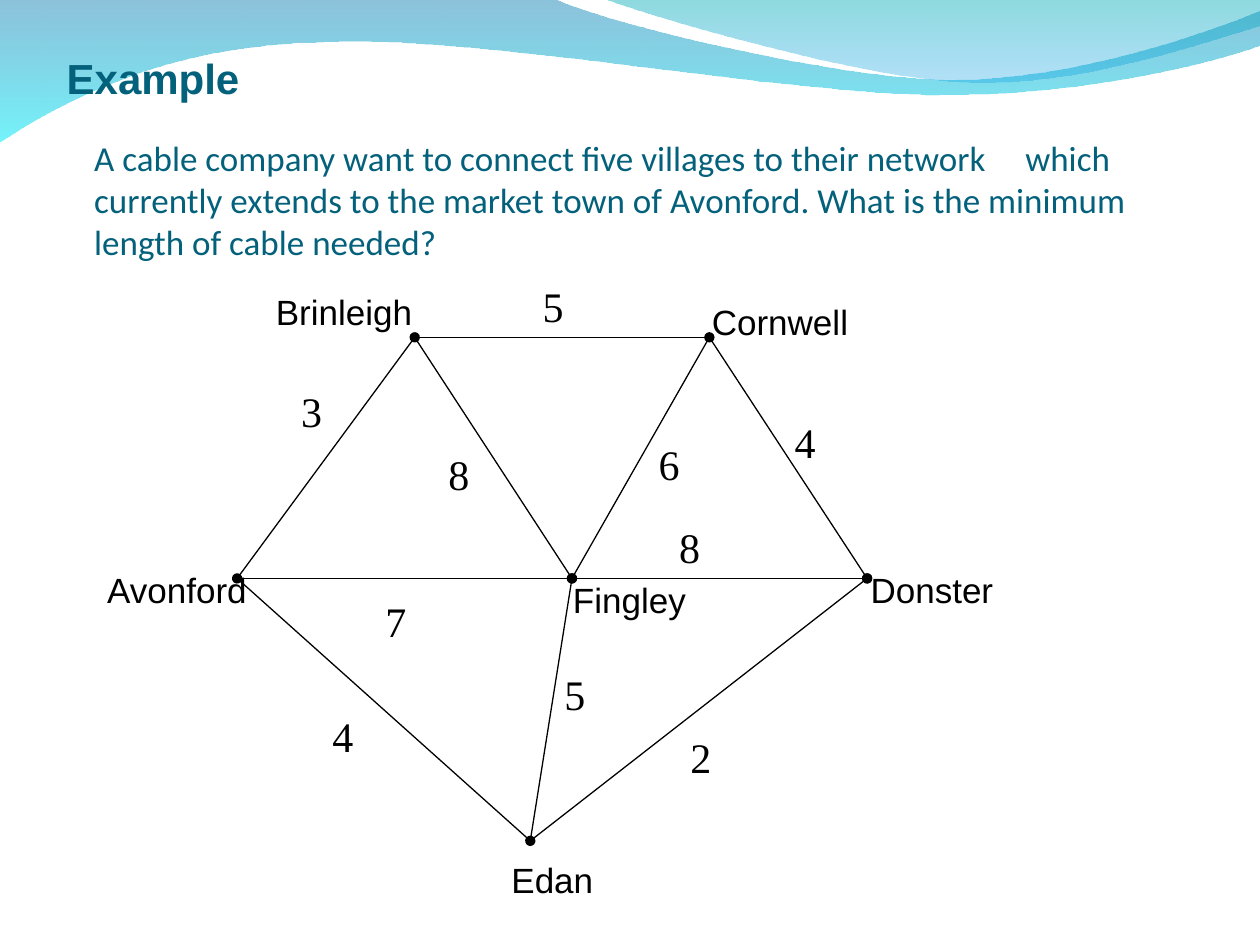
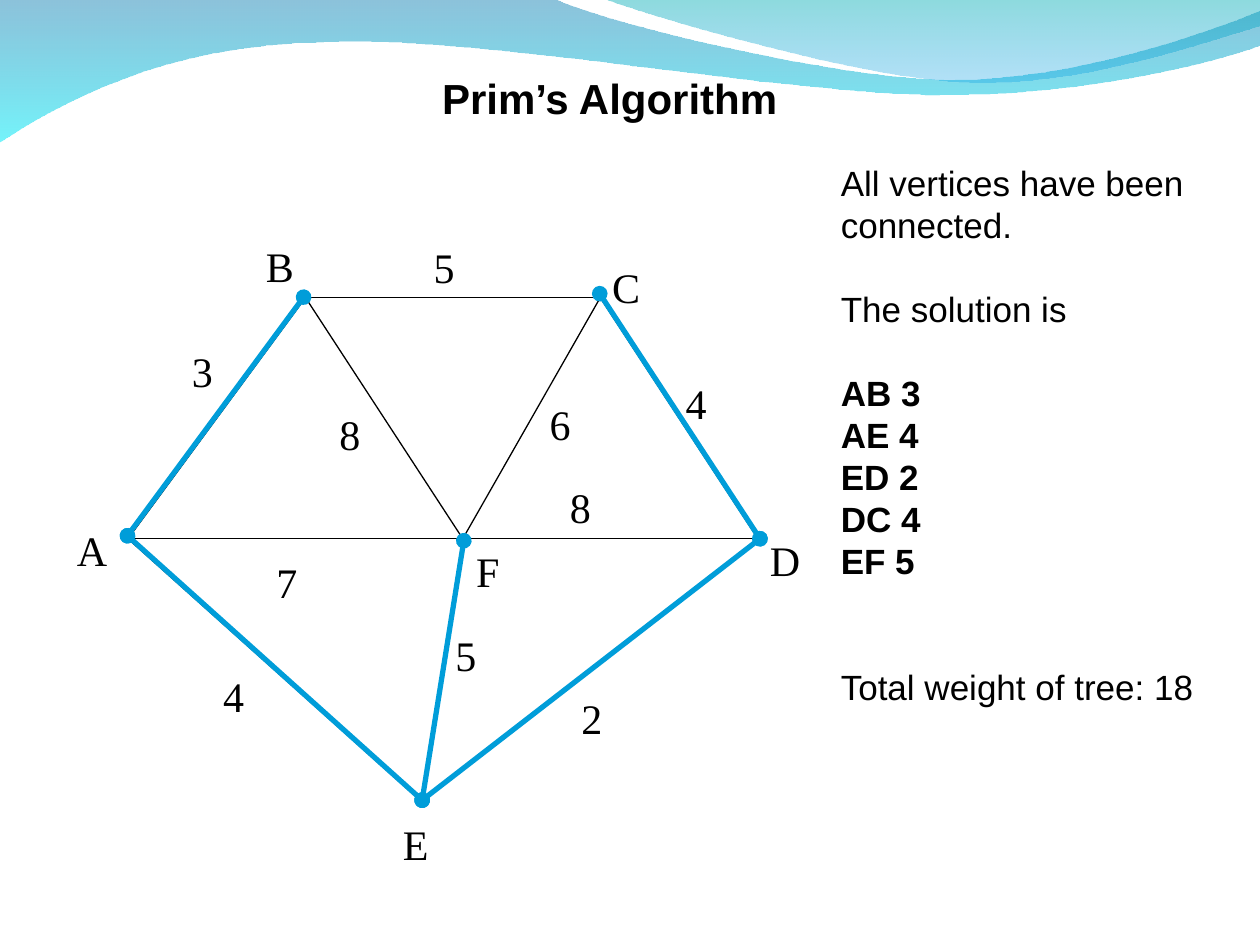
from lxml import etree
from pptx import Presentation
from pptx.dml.color import RGBColor
from pptx.enum.shapes import MSO_CONNECTOR
from pptx.enum.text import MSO_ANCHOR, MSO_AUTO_SIZE, PP_ALIGN
from pptx.oxml.ns import qn
from pptx.util import Cm, Pt

STRAIGHT = MSO_CONNECTOR.STRAIGHT
TOP, BOTTOM = MSO_ANCHOR.TOP, MSO_ANCHOR.BOTTOM
NO_FIT = MSO_AUTO_SIZE.NONE
LEFT, CENTER = PP_ALIGN.LEFT, PP_ALIGN.CENTER
TITLE_ONLY = 5

# Shared styles
BLACK, TEAL, BLUE = "000000", "04617B", "009DD9"
TITLE = {"name": "Arial", "size": Pt(24), "bold": True}
BODY = {"name": "Arial", "size": Pt(20)}
QUESTION = {"name": "Calibri", "size": Pt(20)}
GRAPH = {"name": "Times New Roman", "size": Pt(24)}

# Header waves: start, then line ends (2 numbers) or curves (6 numbers), in cm;
# gradient stops are colour and opacity in percent
WAVES = [
    {"start": (0, -0.02),
     "steps": [(11.18, -0.02),
               (12.09, 0.43, 16.87, 1.6, 19.25, 1.6),
               (21.67, 1.6, 24.33, 0.66, 25.4, 0.23),
               (25.42, 0.91),
               (24.97, 1.12, 22.1, 1.93, 18.95, 1.91),
               (15.8, 1.91, 9.7, 0.71, 6.53, 0.86),
               (3.28, 0.89, 1.17, 2.11, -0.02, 2.87)],
     "stops": [("0079AF", 45), ("00EBF8", 55)]},
    {"start": (12.17, -0.02),
     "steps": [(12.93, 0.28, 17.32, 1.57, 19.53, 1.65),
               (21.74, 1.75, 24.41, 0.81, 25.4, 0.53),
               (25.4, 0)],
     "stops": [("00ADB6", 45), ("009BE5", 30)]},
]

# Village graph, in cm
VILLAGES = {"A": (4.78, 11.66), "B": (8.36, 6.8), "C": (14.3, 6.8),
            "D": (17.48, 11.66), "E": (10.69, 16.95), "F": (11.53, 11.66)}
# edge, dotted villages, weight, left and top of the weight
EDGES = [("AB", "AB", 3, 5.82, 7.65), ("BC", "C", 5, 10.69, 5.54),
         ("CD", "D", 4, 15.77, 8.28), ("AF", "", 7, 7.52, 11.89),
         ("FD", "", 8, 13.44, 10.39), ("BF", "F", 8, 8.79, 8.92),
         ("FC", "", 6, 13.03, 8.71), ("AE", "", 4, 6.45, 14.2),
         ("EF", "EF", 5, 11.13, 13.36), ("ED", "D", 2, 13.67, 14.63)]

# Spanning tree, on the graph moved up and left
TREE = ["AB", "AE", "ED", "DC", "EF"]
TREE_SHIFT = (-2.2, -0.8)
TREE_VILLAGES = {"A": (2.57, 10.8), "B": (6.12, 5.99), "C": (12.09, 5.92),
                 "D": (15.32, 10.86), "E": (8.51, 16.13), "F": (9.35, 10.9)}

# name, left, top, width
VILLAGE_NAMES = [("Avonford", 1.91, 11.33, 3.4), ("Fingley", 11.3, 11.53, 2.95),
                 ("Brinleigh", 5.31, 5.73, 3.28), ("Cornwell", 14.1, 5.93, 3.61),
                 ("Donster", 17.3, 11.33, 3.84), ("Edan", 10.06, 17.18, 2.64)]
LETTERS = [("A", 1.3, 10.44), ("F", 9.35, 10.87), ("B", 5.11, 4.72),
           ("C", 12.09, 5.15), ("D", 15.27, 10.65), ("E", 7.87, 16.37)]

QUESTION_TEXT = ("A cable company want to connect five villages to their network\twhich "
                 "currently extends to the market town of Avonford. "
                 "What is the minimum length of cable needed?")
# text, bold, space before in points
SOLUTION = [("All vertices have been", False, 0), ("connected.", False, 0),
            ("The solution is", False, 24), ("AB 3", True, 24), ("AE 4", True, 0),
            ("ED 2", True, 0), ("DC 4", True, 0), ("EF 5", True, 0),
            ("Total weight of tree: 18", False, 48)]


def rgb(value):
    return RGBColor.from_string(value)


def write(para, text, style, color=BLACK):
    span = para.add_run()
    span.text = text
    for key, value in style.items():
        setattr(span.font, key, value)
    span.font.color.rgb = rgb(color)


def add_text(page, text, style, left, top, width, height=1.27, color=BLACK):
    box = page.shapes.add_textbox(Cm(left), Cm(top), Cm(width), Cm(height))
    box.text_frame.word_wrap = True
    write(box.text_frame.paragraphs[0], text, style, color)
    return box


def add_page(deck, title, left, top, width, align, color):
    page = deck.slides.add_slide(deck.slide_layouts[TITLE_ONLY])
    box = page.shapes.title
    box.left, box.top, box.width, box.height = Cm(left), Cm(top), Cm(width), Cm(1.27)
    frame = box.text_frame
    frame.auto_size, frame.vertical_anchor = NO_FIT, TOP
    frame.paragraphs[0].alignment = align
    write(frame.paragraphs[0], title, TITLE, color)
    return page


def bend(shape, steps):
    """Turn the straight segments of the curved steps into Bézier curves."""
    segments = list(shape.element.spPr.iter(qn("a:lnTo")))
    for segment, step in zip(segments, steps):
        if len(step) == 2:
            continue
        curve = etree.Element(qn("a:cubicBezTo"))
        for x, y in zip(step[::2], step[1::2]):
            etree.SubElement(curve, qn("a:pt"), x=str(Cm(x) - shape.left), y=str(Cm(y) - shape.top))
        segment.getparent().replace(segment, curve)


def add_waves(deck, page):
    """Draw the waves and move them behind everything on the master."""
    tree = deck.slide_master.element.cSld.spTree
    for index, wave in enumerate(WAVES):
        builder = page.shapes.build_freeform(*map(Cm, wave["start"]))
        builder.add_line_segments([(Cm(step[-2]), Cm(step[-1])) for step in wave["steps"]])
        shape = builder.convert_to_shape()
        bend(shape, wave["steps"])
        shape.shadow.inherit = False
        shape.line.fill.background()
        shape.fill.gradient()
        shape.fill.gradient_angle = 270
        for position, (stop, (color, _)) in enumerate(zip(shape.fill.gradient_stops, wave["stops"])):
            stop.position = position
            stop.color.rgb = rgb(color)
        colors = shape.element.spPr.iter(qn("a:srgbClr"))
        for node, (_, opacity) in zip(list(colors), wave["stops"]):
            etree.SubElement(node, qn("a:alpha"), val=str(opacity * 1000))
        tree.insert(2 + index, shape.element)


def add_edge(page, edge, places, color, width, dots):
    ends = [Cm(length) for village in edge for length in places[village]]
    line = page.shapes.add_connector(STRAIGHT, *ends)
    line.line.color.rgb = rgb(color)
    line.line.width = Pt(width)
    properties = line.element.spPr
    for village, end in zip(edge, ("a:headEnd", "a:tailEnd")):
        if village in dots:
            etree.SubElement(properties.find(qn("a:ln")), qn(end), type="oval")
    etree.SubElement(properties, qn("a:effectLst"))


def add_graph(page, shift=(0, 0), dotted=True):
    places = {village: (x + shift[0], y + shift[1]) for village, (x, y) in VILLAGES.items()}
    for edge, dots, *_ in EDGES:
        add_edge(page, edge, places, BLACK, 0.75, dots if dotted else "")
    for _, _, weight, left, top in EDGES:
        add_text(page, str(weight), GRAPH, left + shift[0], top + shift[1], 1.27)


def build_example(deck):
    page = add_page(deck, "Example", 1.09, 0.93, 4, LEFT, TEAL)
    add_waves(deck, page)

    # Question, with a tab stop for the gap in its first line
    box = add_text(page, QUESTION_TEXT, QUESTION, 1.9, 2.12, 21.6, 3.18, TEAL)
    frame = box.text_frame
    frame.vertical_anchor = BOTTOM
    frame.margin_left = frame.margin_right = frame.margin_bottom = 0
    stops = etree.SubElement(box.element.txBody.p_lst[0].get_or_add_pPr(), qn("a:tabLst"))
    etree.SubElement(stops, qn("a:tab"), pos=str(Cm(18.77)), algn="l")

    # Graph with village names
    add_graph(page)
    for name, left, top, width in VILLAGE_NAMES:
        add_text(page, name, BODY, left, top, width, 1.12)


def build_solution(deck):
    page = add_page(deck, "Prim’s Algorithm", 2.29, 1.34, 20, CENTER, BLACK)

    # Graph with the spanning tree on top
    add_graph(page, TREE_SHIFT, dotted=False)
    for letter, left, top in LETTERS:
        add_text(page, letter, GRAPH, left, top, 1.27)
    for edge in TREE:
        add_edge(page, edge, TREE_VILLAGES, BLUE, 3, edge)

    # Solution
    box = page.shapes.add_textbox(Cm(16.7), Cm(3.13), Cm(8), Cm(12.12))
    frame = box.text_frame
    frame.word_wrap = True
    for index, (text, bold, gap) in enumerate(SOLUTION):
        para = frame.add_paragraph() if index else frame.paragraphs[0]
        para.line_spacing, para.space_before = Pt(24), Pt(gap)
        write(para, text, {**BODY, "bold": bold})


def main():
    deck = Presentation()
    deck.slide_width, deck.slide_height = Cm(25.4), Cm(19.05)
    build_example(deck)
    build_solution(deck)
    deck.save("out.pptx")


if __name__ == "__main__":
    main()
